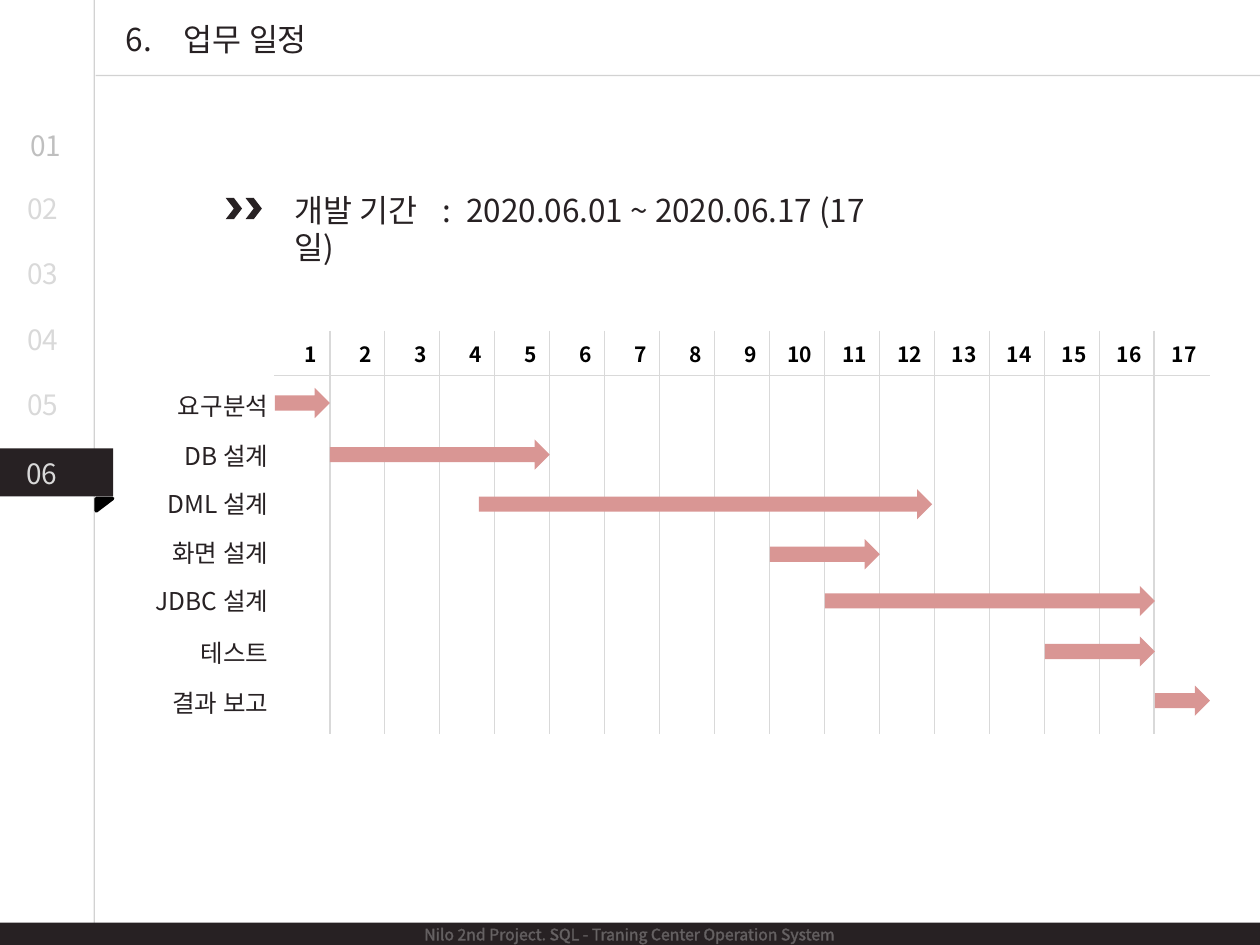
from dataclasses import dataclass

from lxml import etree
from pptx import Presentation
from pptx import util as u
from pptx.dml.color import RGBColor
from pptx.enum import shapes, text
from pptx.oxml import ns

FONT = "Noto Sans CJK KR"
COLORS = {
    "dark": "272123", "black": "000000", "white": "FFFFFF", "rule": "A6A6A6",
    "grid": "D9D9D9", "first": "BFBFBF", "arrow": "D99694",
}
DAYS = 17
TABLE_LEFT, TABLE_TOP, TABLE_WIDTH, TABLE_HEIGHT = 5.54, 6.68, 18.85, 8.13
HEADER_HEIGHT = 0.89
TASK_ROWS = 7
DAY_WIDTH = TABLE_WIDTH / DAYS
LABEL_RIGHT = 5.66


@dataclass
class Place:
    """Position and size in centimetres."""
    left: float
    top: float
    width: float
    height: float

    def lengths(self) -> list:
        return [u.Cm(n) for n in (self.left, self.top, self.width, self.height)]


@dataclass
class Task:
    """A task with its first day offset and its length in days."""
    name: str
    label_top: float
    arrow_top: float
    start: float
    days: float
    label_width: float = 3.43


@dataclass
class Step:
    number: str
    left: float
    top: float
    color: str = "grid"


TASKS = [
    Task("요구분석", 7.75, 7.82, 0, 1, 2.34),
    Task("DB 설계", 8.76, 8.86, 1, 4),
    Task("DML 설계", 9.73, 9.86, 3.71, 8.24),
    Task("화면 설계", 10.72, 10.87, 9, 2),
    Task("JDBC 설계", 11.68, 11.81, 10, 6),
    Task("테스트", 12.73, 12.83, 14, 2),
    Task("결과 보고", 13.74, 13.82, 16, 1),
]
STEPS = [Step("01", 0.36, 2.46, "first")]
STEPS += [Step(f"0{i + 2}", 0.3, 3.73 + 1.32 * i) for i in range(4)]
STEPS += [Step("06", 0.28, 9.07)]


def rgb(color: str) -> RGBColor:
    return RGBColor.from_string(COLORS[color])


def add_element(parent, tag: str, **attributes: str):
    return etree.SubElement(parent, ns.qn(tag), attributes)


def add_solid(parent, color: str, opacity: int = 100) -> None:
    fill = add_element(parent, "a:solidFill")
    value = add_element(fill, "a:srgbClr", val=COLORS[color])
    if opacity < 100:
        add_element(value, "a:alpha", val=str(opacity * 1000))


def write(frame, words: str, size: float, color: str, align=None,
          bold: bool = False, outline: str = "black", tabs: tuple = ()) -> None:
    """Fill the first paragraph with one run that has a faint outline."""
    para = frame.paragraphs[0]
    if align is not None:
        para.alignment = align
    if tabs:
        tab_list = add_element(para._p.get_or_add_pPr(), "a:tabLst")
        for stop in tabs:
            add_element(tab_list, "a:tab", pos=str(u.Cm(stop)), algn="l")
    span = para.add_run()
    span.text = words
    formats = {"name": FONT, "size": u.Pt(size), "bold": bold}
    for name, value in formats.items():
        setattr(span.font, name, value)
    span.font.color.rgb = rgb(color)
    properties = span._r.get_or_add_rPr()
    add_element(properties, "a:ea", typeface=FONT)
    line = etree.Element(ns.qn("a:ln"), w=str(u.Pt(0.75)))
    add_solid(line, outline, 30)
    properties.insert(0, line)


def add_text(parent, place: Place, words: str, size: float, color: str, **options) -> None:
    frame = parent.add_textbox(*place.lengths()).text_frame
    formats = {"word_wrap": True, "auto_size": text.MSO_AUTO_SIZE.SHAPE_TO_FIT_TEXT}
    for name, value in formats.items():
        setattr(frame, name, value)
    write(frame, words, size, color, **options)


def add_block(parent, kind, place: Place, color: str):
    shape = parent.add_shape(kind, *place.lengths())
    shape.shadow.inherit = False
    shape.fill.solid()
    shape.fill.fore_color.rgb = rgb(color)
    shape.line.fill.background()
    return shape


def add_rule(parent, start: tuple, end: tuple) -> None:
    rule = parent.add_connector(
        shapes.MSO_CONNECTOR.STRAIGHT, *[u.Cm(n) for n in start + end])
    rule.line.width = u.Pt(0.75)
    rule.line.color.rgb = rgb("rule")
    value = next(rule.line._ln.iter(ns.qn("a:srgbClr")))
    add_element(value, "a:alpha", val="50000")
    add_element(rule._element.spPr, "a:effectLst")


def set_borders(cell, borders: dict) -> None:
    """Set cell borders by side letter; None leaves a side without a line."""
    properties = cell._tc.get_or_add_tcPr()
    for side, color in borders.items():
        line = add_element(properties, f"a:ln{side}", w=str(u.Pt(1)))
        if color:
            add_solid(line, color)
        else:
            add_element(line, "a:noFill")


def add_calendar(parent) -> None:
    place = Place(TABLE_LEFT, TABLE_TOP, TABLE_WIDTH, TABLE_HEIGHT)
    table = parent.add_table(TASK_ROWS + 1, DAYS, *place.lengths()).table
    table.first_row = table.horz_banding = False
    for column in table.columns:
        column.width = u.Cm(DAY_WIDTH)
    for i, row in enumerate(table.rows):
        row.height = u.Cm((TABLE_HEIGHT - HEADER_HEIGHT) / TASK_ROWS if i else HEADER_HEIGHT)
        for j, cell in enumerate(row.cells):
            set_borders(cell, {
                "L": "grid" if j else "white",
                "R": "grid" if j < DAYS - 1 else "white",
                "T": {0: "white", 1: "grid"}.get(i),
                "B": {0: "grid", TASK_ROWS: "white"}.get(i),
            })
            cell.fill.background()
            cell.vertical_anchor = text.MSO_ANCHOR.MIDDLE
            if i == 0:
                write(cell.text_frame, str(j + 1), 12, "black", text.PP_ALIGN.RIGHT, bold=True)
            else:
                add_element(cell.text_frame.paragraphs[0]._p, "a:endParaRPr", sz="1200")


def add_task(parent, task: Task) -> None:
    arrow = Place(TABLE_LEFT + task.start * DAY_WIDTH, task.arrow_top,
                  task.days * DAY_WIDTH, 0.61)
    add_block(parent, shapes.MSO_SHAPE.RIGHT_ARROW, arrow, "arrow")
    label = Place(LABEL_RIGHT - task.label_width, task.label_top, task.label_width, 0.86)
    add_text(parent, label, task.name, 14, "dark", align=text.PP_ALIGN.RIGHT)


def main() -> None:
    deck = Presentation()
    deck.slide_width, deck.slide_height = u.Cm(25.4), u.Cm(19.05)
    page = deck.slides.add_slide(deck.slide_layouts[6]).shapes
    kinds = shapes.MSO_SHAPE

    add_rule(page, (1.9, -1.04), (1.9, 19.74))
    add_rule(page, (27.74, 1.52), (1.93, 1.52))
    add_block(page, kinds.RECTANGLE, Place(-0.03, 9.04, 2.31, 0.97), "dark")
    fold = add_block(page, kinds.RIGHT_TRIANGLE, Place(1.98, 10.01, 0.25, 0.33), "black")
    fold.rotation = 90
    fold.line.color.rgb = rgb("black")
    fold.line.width = u.Pt(2)
    for step in STEPS:
        add_text(page, Place(step.left, step.top, 1.25, 0.94), step.number, 16, step.color)
    add_text(page, Place(2.29, 0.28, 7.98, 1.12), "6.\t업무 일정", 18, "dark", tabs=(1.17,))

    footer = add_block(page, kinds.RECTANGLE, Place(-1.22, 18.6, 27.81, 0.46), "dark")
    footer.text_frame.vertical_anchor = text.MSO_ANCHOR.MIDDLE
    write(footer.text_frame, "Nilo 2nd Project. SQL - Traning Center Operation System",
          9, "white", text.PP_ALIGN.CENTER, outline="grid")

    add_text(page, Place(5.68, 3.72, 12.7, 1.02),
             "개발 기간\t:\t2020.06.01 ~ 2020.06.17 (17일)", 18, "dark", tabs=(3, 3.47))
    marker = page.add_group_shape().shapes
    for left in (4.95, 4.55):
        add_block(marker, kinds.CHEVRON, Place(left, 3.99, 0.33, 0.43), "dark")

    add_calendar(page)
    schedule = page.add_group_shape().shapes
    for task in TASKS:
        add_task(schedule, task)
    deck.save("out.pptx")


if __name__ == "__main__":
    main()
